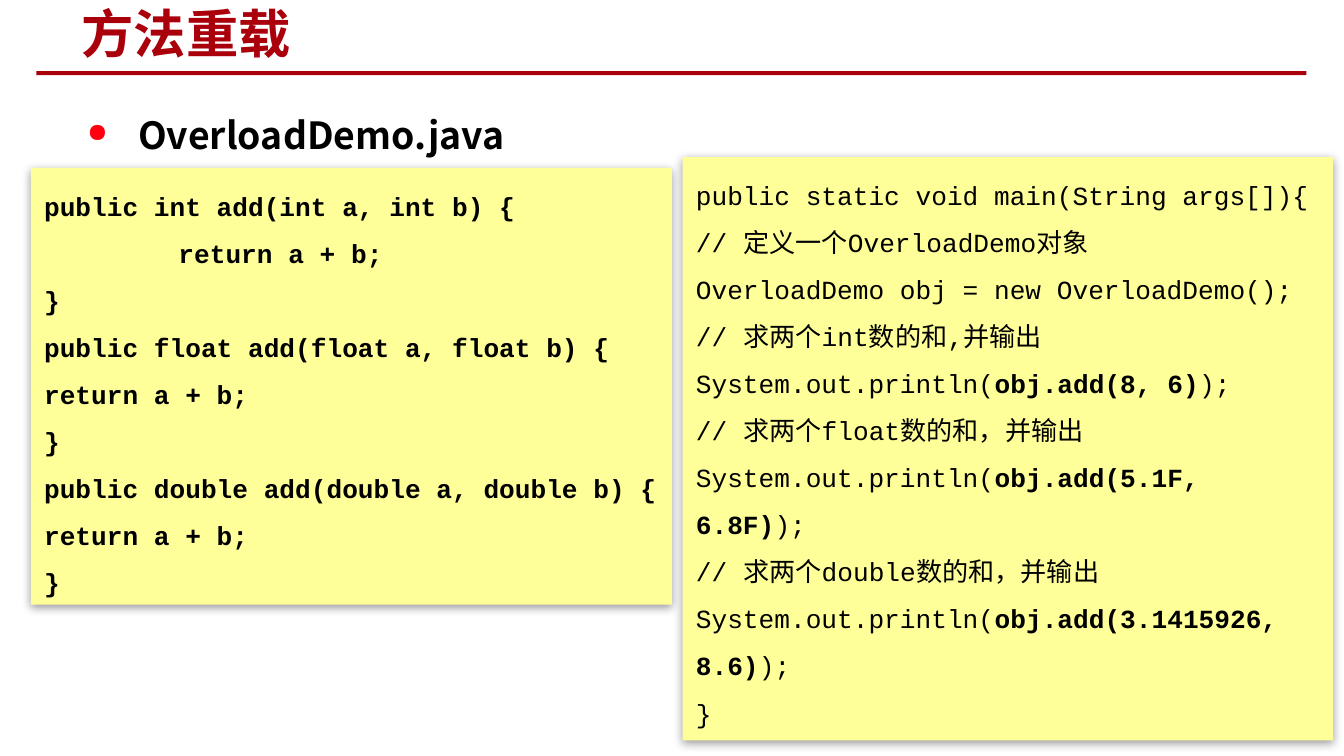
from lxml import etree
from pptx import Presentation
from pptx.dml.color import RGBColor
from pptx.enum import shapes, text
from pptx.oxml import parse_xml
from pptx.oxml.ns import qn
from pptx.util import Inches, Pt

RED, BRIGHT_RED, BLACK, YELLOW = "AA000B", "FF0011", "000000", "FFFF99"
CJK, MONO = "Noto Sans CJK SC", "Courier New"
SHADOW = (
    '<a:effectLst xmlns:a="http://schemas.openxmlformats.org/drawingml/2006/main">'
    '<a:outerShdw blurRad="63500" dist="20320" dir="5400000" rotWithShape="0">'
    '<a:srgbClr val="000000"><a:alpha val="38000"/></a:srgbClr>'
    '</a:outerShdw></a:effectLst>'
)


def color(value):
    return RGBColor.from_string(value)


def style(span, name, size, value, bold):
    span.font.name = name
    span.font.size = Pt(size)
    span.font.bold = bold
    span.font.color.rgb = color(value)
    etree.SubElement(span.font._element, qn("a:ea"), typeface=CJK)


deck = Presentation()
deck.slide_width, deck.slide_height = Inches(10), Inches(10 * 9 / 16)
page = deck.slides.add_slide(deck.slide_layouts[6])

rule = page.shapes.add_shape(
    shapes.MSO_SHAPE.RECTANGLE, Inches(0.27), Inches(0.53), Inches(9.45), Inches(0.03))
rule.shadow.inherit = False
rule.fill.solid()
rule.fill.fore_color.rgb = color(RED)
rule.line.fill.background()

headings = [
    ("OverloadDemo.java", 0.55, 0.62, 8.98, 0.7, 20, BLACK, text.MSO_ANCHOR.TOP),
    ("方法重载", 0.51, 0.02, 5.3, 0.45, 28, RED, text.MSO_ANCHOR.MIDDLE),
]
for words, left, top, width, height, size, value, anchor in headings:
    box = page.shapes.add_textbox(Inches(left), Inches(top), Inches(width), Inches(height))
    box.text_frame.word_wrap = True
    box.text_frame.vertical_anchor = anchor
    para = box.text_frame.paragraphs[0]
    para.text = words
    style(para.runs[0], CJK, size, value, True)
    if value == BLACK:
        para.line_spacing = 1.5
        properties = para._p.get_or_add_pPr()
        properties.set("marL", str(Inches(0.38)))
        properties.set("indent", str(Inches(-0.38)))
        bullet_color = etree.SubElement(properties, qn("a:buClr"))
        etree.SubElement(bullet_color, qn("a:srgbClr"), val=BRIGHT_RED)
        etree.SubElement(properties, qn("a:buSzPct"), val="70000")
        etree.SubElement(properties, qn("a:buChar"), char="●")

methods = [
    "**public int add(int a, int b) {**",
    "**\treturn a + b;**",
    "**}**",
    "**public float add(float a, float b) {\treturn a + b;**",
    "**}**",
    "**public double add(double a, double b) {\treturn a + b;**",
    "**}**",
]
main_method = [
    "public static void main(String args[]){",
    "// 定义一个OverloadDemo对象",
    "OverloadDemo obj = new OverloadDemo();",
    "// 求两个int数的和,并输出System.out.println(**obj.add(8, 6)**);",
    "// 求两个float数的和，并输出",
    "System.out.println(**obj.add(5.1F, 6.8F)**);",
    "// 求两个double数的和，并输出System.out.println(**obj.add(3.1415926, 8.6)**);",
    "}",
]
panels = [(methods, 0.23, 1.25, 4.77, 3.25), (main_method, 5.08, 1.17, 4.84, 4.34)]
for lines, left, top, width, height in panels:
    panel = page.shapes.add_shape(
        shapes.MSO_SHAPE.RECTANGLE, Inches(left), Inches(top), Inches(width), Inches(height))
    panel.fill.solid()
    panel.fill.fore_color.rgb = color(YELLOW)
    panel.line.fill.background()
    panel._element.spPr.append(parse_xml(SHADOW))
    frame = panel.text_frame
    frame.word_wrap = True
    frame.vertical_anchor = text.MSO_ANCHOR.TOP
    frame.text = "\n".join(lines)
    for para, line in zip(frame.paragraphs, lines):
        para.alignment = text.PP_ALIGN.LEFT
        para.line_spacing = 1.5
        para.clear()
        if line.startswith("**\t"):
            tabs = etree.SubElement(para._p.get_or_add_pPr(), qn("a:tabLst"))
            etree.SubElement(tabs, qn("a:tab"), pos=str(Inches(1)), algn="l")
        for index, part in enumerate(line.split("**")):
            if part:
                span = para.add_run()
                span.text = part
                style(span, MONO, 14, BLACK, index % 2 == 1)

deck.save("out.pptx")
